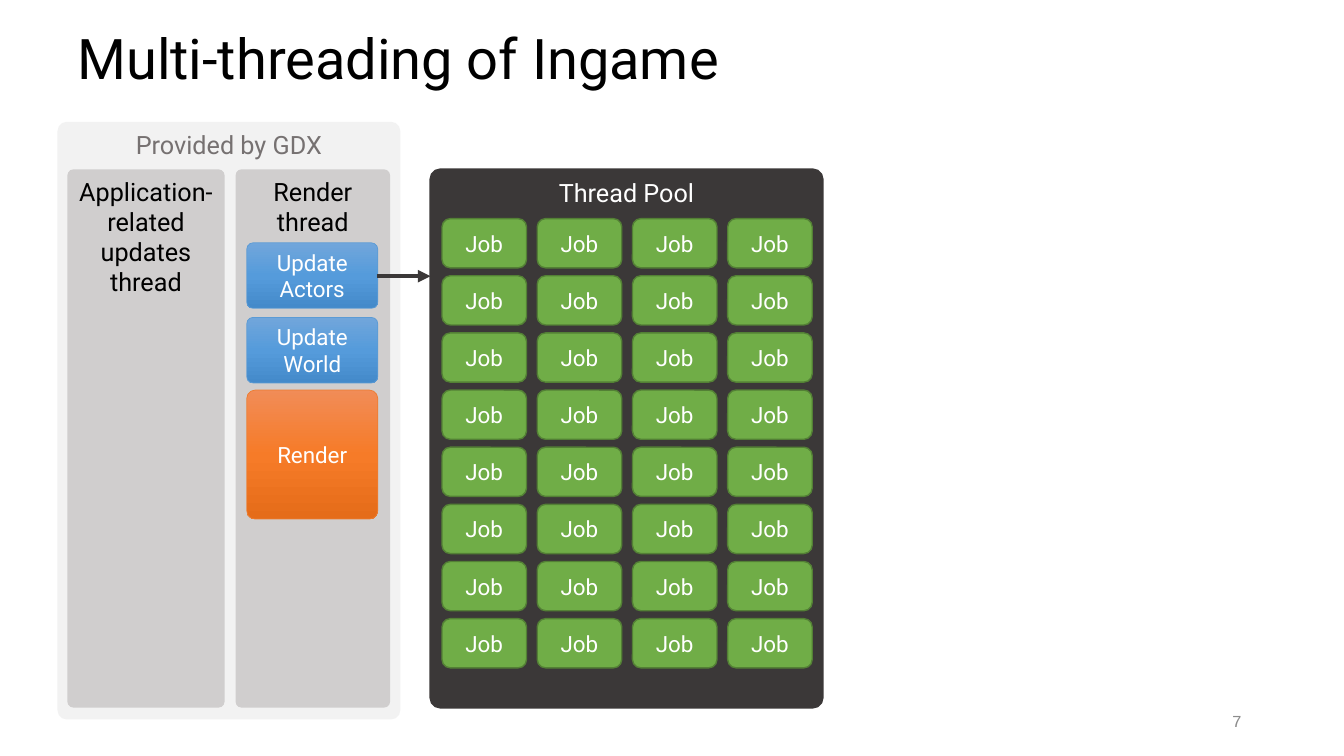
"""Build the slide about the threads and jobs of a running game."""
from copy import deepcopy

from lxml import etree
from pptx import Presentation
from pptx import util as u
from pptx.dml.color import RGBColor
from pptx.enum import shapes, text
from pptx.oxml.ns import qn

BLACK = RGBColor(0x00, 0x00, 0x00)
WHITE = RGBColor(0xFF, 0xFF, 0xFF)
PALE_GREY = RGBColor(0xF2, 0xF2, 0xF2)
LANE_GREY = RGBColor(0xD0, 0xCE, 0xCE)
LABEL_GREY = RGBColor(0x76, 0x71, 0x71)
NUMBER_GREY = RGBColor(0x8C, 0x8C, 0x8C)
CHARCOAL = RGBColor(0x3B, 0x38, 0x38)
GREEN = RGBColor(0x70, 0xAD, 0x47)
DARK_GREEN = RGBColor(0x53, 0x80, 0x35)
BLUE = RGBColor(0x5B, 0x9B, 0xD5)
ORANGE = RGBColor(0xED, 0x7D, 0x31)
BLUE_SHADES = (RGBColor(0x71, 0xA6, 0xDB), RGBColor(0x55, 0x9B, 0xDB), RGBColor(0x44, 0x8A, 0xCA))
ORANGE_SHADES = (RGBColor(0xF1, 0x8C, 0x57), RGBColor(0xF6, 0x7B, 0x28), RGBColor(0xE5, 0x6C, 0x19))

TOP, MIDDLE = text.MSO_ANCHOR.TOP, text.MSO_ANCHOR.MIDDLE
LEFT, CENTER, RIGHT = text.PP_ALIGN.LEFT, text.PP_ALIGN.CENTER, text.PP_ALIGN.RIGHT
JOB_ROWS, JOB_COLUMNS = 8, 4


def apply_format(target, values):
    """Set each named attribute of the target."""
    for name, value in values.items():
        setattr(target, name, value)


def write(shape, words, size, color, anchor=TOP, align=CENTER, font="Roboto", spacing=1.0):
    """Fill a shape with one formatted paragraph."""
    frame = shape.text_frame
    apply_format(frame, {"word_wrap": True, "vertical_anchor": anchor})
    paragraph = frame.paragraphs[0]
    paragraph.text = words
    apply_format(paragraph, {"alignment": align, "line_spacing": spacing})
    for run in paragraph.runs:
        apply_format(run.font, {"size": u.Pt(size), "name": font})
        run.font.color.rgb = color


def add_label(slide, box, words, size, color, **options):
    """Add a text box centred vertically on its words."""
    shape = slide.shapes.add_textbox(*map(u.Cm, box))
    write(shape, words, size, color, anchor=MIDDLE, **options)


def fill_gradient(shape, shades):
    """Fill a shape from top to bottom with evenly spaced shades."""
    shape.fill.gradient()
    shape.fill.gradient_angle = 270
    stop_list = shape._element.spPr.find(f".//{qn('a:gsLst')}")
    stop_list.append(deepcopy(stop_list[-1]))
    for index, (stop, shade) in enumerate(zip(shape.fill.gradient_stops, shades)):
        stop.position = index / (len(shades) - 1)
        stop.color.rgb = shade


def add_rounded(container, box, fill, radius=0.17, line=None, line_width=1):
    """Add a rounded box with a plain or shaded fill."""
    shape = container.shapes.add_shape(shapes.MSO_SHAPE.ROUNDED_RECTANGLE, *map(u.Cm, box))
    shape.shadow.inherit = False
    shape.adjustments[0] = radius
    if isinstance(fill, RGBColor):
        shape.fill.solid()
        shape.fill.fore_color.rgb = fill
    else:
        fill_gradient(shape, fill)
    if line is None:
        shape.line.fill.background()
    else:
        shape.line.color.rgb = line
        shape.line.width = u.Pt(line_width)
    return shape


def add_panel(container, box, words, fill, color, radius, **outline):
    """Add a tall panel headed by its name."""
    shape = add_rounded(container, box, fill, radius, **outline)
    apply_format(shape.text_frame, {"margin_left": u.Cm(0.2), "margin_right": u.Cm(0.2)})
    write(shape, words, 18, color)


def add_step(container, box, words, fill, **style):
    """Add a box for one piece of work."""
    write(add_rounded(container, box, fill, **style), words, 16, WHITE, anchor=MIDDLE)


def add_arrow(container, start, end, color, width):
    """Add a straight arrow between two points."""
    arrow = container.shapes.add_connector(
        shapes.MSO_CONNECTOR.STRAIGHT, *map(u.Cm, start + end))
    arrow.line.color.rgb = color
    arrow.line.width = u.Pt(width)
    etree.SubElement(arrow.line._get_or_add_ln(), qn("a:tailEnd"), type="triangle")
    etree.SubElement(arrow._element.spPr, qn("a:effectLst"))


def add_thread_pool(slide):
    """Add the thread pool with its grid of jobs."""
    pool = slide.shapes.add_group_shape()
    add_panel(pool, (10.85, 4.27, 9.88, 13.56), "Thread Pool", CHARCOAL, WHITE, 0.025,
              line=CHARCOAL, line_width=1.5)
    for row in range(JOB_ROWS):
        for column in range(JOB_COLUMNS):
            box = (11.14 + 2.4 * column, 5.51 + 1.44 * row, 2.13, 1.24)
            add_step(pool, box, "Job", GREEN, line=DARK_GREEN)


def main():
    """Build and save the slide."""
    presentation = Presentation()
    apply_format(presentation, {"slide_width": u.Cm(33.87), "slide_height": u.Cm(19.05)})
    slide = presentation.slides.add_slide(presentation.slide_layouts[6])

    add_panel(slide, (1.45, 3.07, 8.64, 15.06), "Provided by GDX", PALE_GREY, LABEL_GREY, 0.027)
    add_label(slide, (1.7, 0.25, 29.85, 2.57), "Multi-threading of Ingame", 40, BLACK,
              align=LEFT, spacing=0.9)
    for left, width, words in (
        (1.7, 3.96, "Application-related updates thread"),
        (5.94, 3.89, "Render thread"),
    ):
        add_panel(slide, (left, 4.27, width, 13.56), words, LANE_GREY, BLACK, 0.037)

    add_thread_pool(slide)
    for top, height, words, shades, line, radius in (
        (6.12, 1.65, "Update\nActors", BLUE_SHADES, BLUE, 0.095),
        (8.0, 1.65, "Update\nWorld", BLUE_SHADES, BLUE, 0.095),
        (9.83, 3.25, "Render", ORANGE_SHADES, ORANGE, 0.064),
    ):
        add_step(slide, (6.22, top, 3.3, height), words, shades,
                 radius=radius, line=line, line_width=0.5)
    add_arrow(slide, (9.5, 6.96), (10.85, 6.96), CHARCOAL, 3)
    add_label(slide, (23.93, 17.65, 7.62, 1.02), "7", 12, NUMBER_GREY,
              align=RIGHT, font="Courier New")
    presentation.save("out.pptx")


if __name__ == "__main__":
    main()
